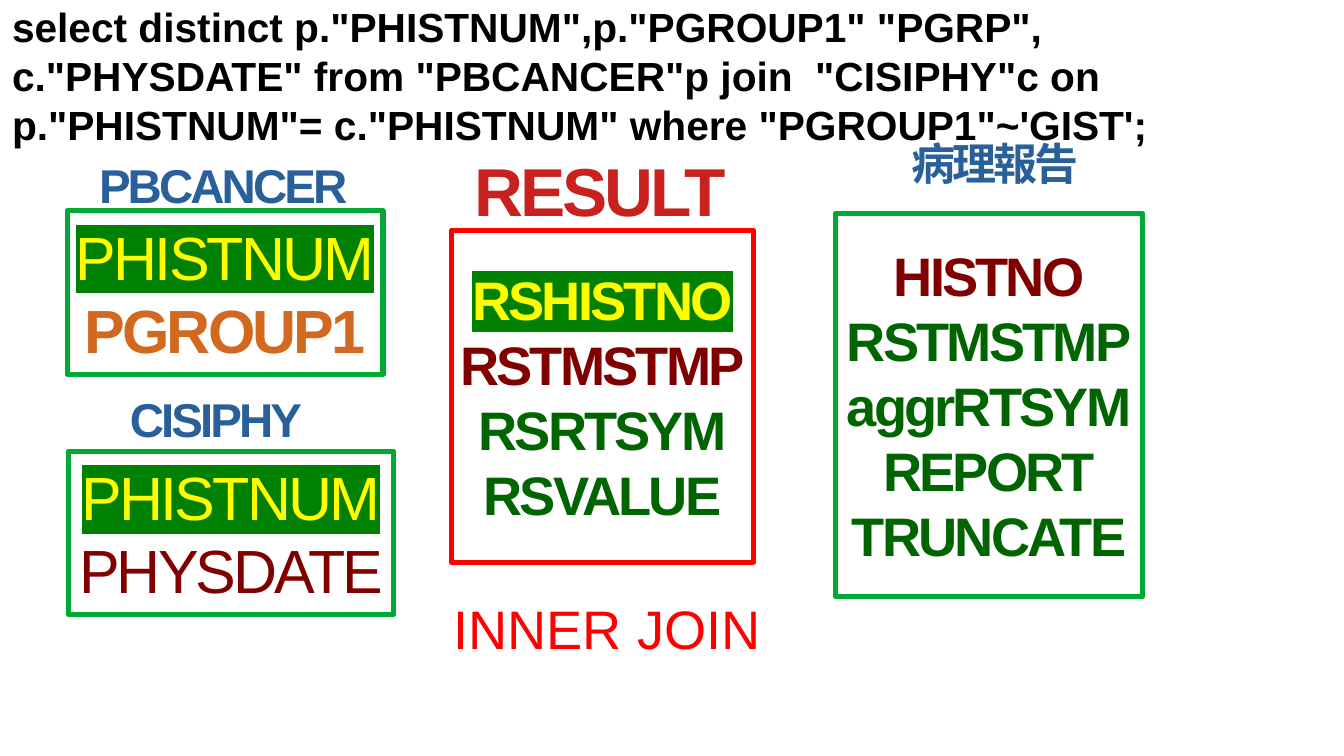
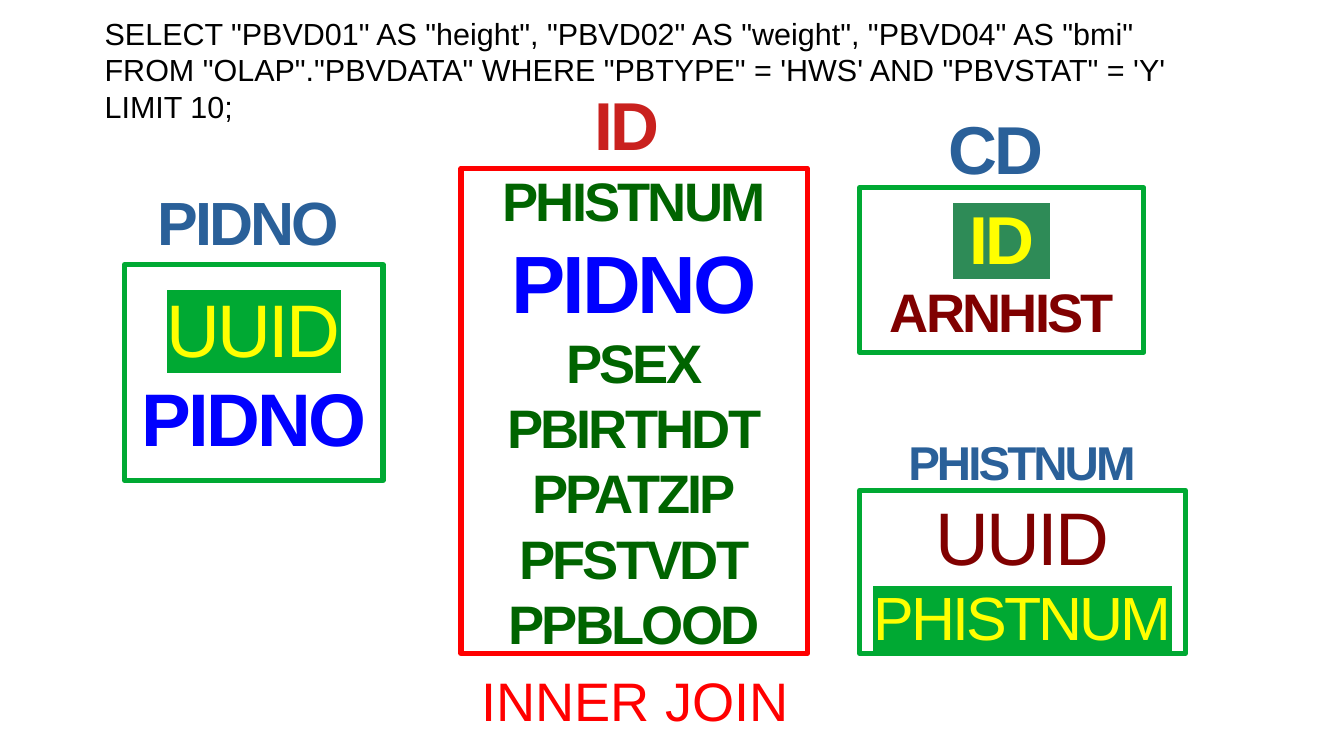
import dataclasses

import lxml.etree
import pptx
import pptx.dml.color
import pptx.enum.shapes
import pptx.enum.text
import pptx.oxml.ns
import pptx.util

RGB = pptx.dml.color.RGBColor
RED = RGB(0xFF, 0x00, 0x00)
CRIMSON = RGB(0xC9, 0x21, 0x1E)
GREEN = RGB(0x00, 0xA9, 0x33)
DARK_GREEN = RGB(0x00, 0x64, 0x00)
KEY_GREEN = RGB(0x00, 0x80, 0x00)
SEA_GREEN = RGB(0x2E, 0x8B, 0x57)
MAROON = RGB(0x80, 0x00, 0x00)
ORANGE = RGB(0xD2, 0x69, 0x1E)
YELLOW = RGB(0xFF, 0xFF, 0x00)
BLUE = RGB(0x00, 0x00, 0xFF)
STEEL = RGB(0x2A, 0x60, 0x99)
BLACK = RGB(0x00, 0x00, 0x00)

FONT = "Arial"
TIGHT = -170
WIDTH = pptx.util.Inches(11.02)
HEIGHT = pptx.util.Inches(6.2)
ALIGN = pptx.enum.text.PP_ALIGN
ANCHOR = pptx.enum.text.MSO_ANCHOR
FRAME_FORMAT = {
    "word_wrap": False,
    "vertical_anchor": ANCHOR.MIDDLE,
    "margin_left": pptx.util.Inches(0.12),
    "margin_right": pptx.util.Inches(0.12),
    "margin_top": pptx.util.Inches(0.07),
    "margin_bottom": pptx.util.Inches(0.07),
}
LABEL_FORMAT = {
    "word_wrap": True,
    "auto_size": pptx.enum.text.MSO_AUTO_SIZE.SHAPE_TO_FIT_TEXT,
    "vertical_anchor": ANCHOR.TOP,
}


@dataclasses.dataclass
class Box:
    """A region measured in hundredths of the slide's width and height."""

    left: float
    top: float
    width: float
    height: float

    def lengths(self):
        """Return left, top, width and height as slide lengths."""
        return (
            int(WIDTH * self.left / 100),
            int(HEIGHT * self.top / 100),
            int(WIDTH * self.width / 100),
            int(HEIGHT * self.height / 100),
        )


@dataclasses.dataclass
class Line:
    """One line of text with its look."""

    text: str
    size: int
    color: RGB
    bold: bool = True
    spacing: int = TIGHT
    highlight: RGB = None
    align: ALIGN = ALIGN.CENTER


@dataclasses.dataclass
class Entity:
    """A table card: its frame, title, title offset and column names."""

    frame: Box
    title: Line
    shift: float
    rise: float
    columns: list
    outline: RGB = GREEN


def apply(target, values):
    """Set every attribute named in a dict of format values."""
    for name, value in values.items():
        setattr(target, name, value)


def write_span(para, line):
    """Write one formatted line into a paragraph."""
    para.alignment = line.align
    span = para.add_run()
    span.text = line.text
    size = pptx.util.Pt(line.size)
    apply(span.font, {"name": FONT, "size": size, "bold": line.bold})
    span.font.color.rgb = line.color
    properties = span.font._element
    if line.spacing:
        properties.set("spc", str(line.spacing))
    if line.highlight is not None:
        mark = lxml.etree.Element(pptx.oxml.ns.qn("a:highlight"))
        color = lxml.etree.SubElement(mark, pptx.oxml.ns.qn("a:srgbClr"))
        color.set("val", str(line.highlight))
        properties.find(pptx.oxml.ns.qn("a:solidFill")).addnext(mark)


def write_lines(shape, lines, values):
    """Fill a shape with one paragraph for each line."""
    frame = shape.text_frame
    apply(frame, values)
    for index, line in enumerate(lines):
        para = frame.add_paragraph() if index else frame.paragraphs[0]
        write_span(para, line)


def add_label(page, box, line):
    """Place a plain text box in the given region."""
    label = page.shapes.add_textbox(*box.lengths())
    write_lines(label, [line], LABEL_FORMAT)


def add_entity(page, entity):
    """Place an outlined column list with its title above it."""
    box = entity.frame
    rectangle = pptx.enum.shapes.MSO_SHAPE.RECTANGLE
    card = page.shapes.add_shape(rectangle, *box.lengths())
    card.shadow.inherit = False
    card.fill.background()
    card.line.color.rgb = entity.outline
    card.line.width = pptx.util.Pt(3)
    write_lines(card, entity.columns, FRAME_FORMAT)
    title_box = Box(box.left + entity.shift, box.top - entity.rise, box.width, entity.rise)
    add_label(page, title_box, entity.title)


def add_join_caption(page, frame, shift, drop):
    """Name the join below the frame of the joined table."""
    bottom = frame.top + frame.height
    box = Box(frame.left + shift, bottom + drop, 24.68, 11.13)
    add_label(page, box, Line("INNER JOIN", 32, RED, False, 0, None, ALIGN.LEFT))


def fields(*names):
    """Return ordinary column names as dark green lines."""
    return [Line(name, 32, DARK_GREEN) for name in names]


def key(name, size, highlight, bold=False):
    """Return a highlighted key column."""
    return Line(name, size, YELLOW, bold, highlight=highlight)


def add_join_page(deck, query, query_box, entities, caption_offset):
    """Build a slide of a query and its tables, the joined table first."""
    page = deck.slides.add_slide(deck.slide_layouts[6])
    for entity in entities:
        add_entity(page, entity)
    add_join_caption(page, entities[0].frame, *caption_offset)
    add_label(page, query_box, query)


def add_cancer_page(deck):
    """Build the cancer and report query slide."""
    query = Line(
        'select distinct p."PHISTNUM",p."PGROUP1" "PGRP", c."PHYSDATE" '
        'from "PBCANCER"p join  "CISIPHY"c on p."PHISTNUM"= c."PHISTNUM" '
        "where \"PGROUP1\"~'GIST';",
        24, BLACK, True, 0, None, ALIGN.LEFT,
    )
    entities = [
        Entity(
            Box(33.58, 30.48, 22.5, 43.87), Line("RESULT", 40, CRIMSON), -0.18, 11.61,
            [key("RSHISTNO", 32, KEY_GREEN, True), Line("RSTMSTMP", 32, MAROON),
             *fields("RSRTSYM", "RSVALUE")],
            RED,
        ),
        Entity(
            Box(62.16, 28.23, 22.87, 50.65), Line("病理報告", 26, STEEL), 0.45, 10.97,
            [Line("HISTNO", 32, MAROON),
             *fields("RSTMSTMP", "aggrRTSYM", "REPORT", "TRUNCATE")],
        ),
        Entity(
            Box(5, 27.9, 23.5, 21.61), Line("PBCANCER", 28, STEEL), -0.14, 8.06,
            [key("PHISTNUM", 36, KEY_GREEN), Line("PGROUP1", 36, ORANGE)],
        ),
        Entity(
            Box(5.08, 59.68, 24.23, 21.61), Line("CISIPHY", 28, STEEL), -1.13, 8.87,
            [key("PHISTNUM", 36, KEY_GREEN), Line("PHYSDATE", 36, MAROON, False)],
        ),
    ]
    add_join_page(deck, query, Box(0, -0.48, 100, 19.52), entities, (-0.73, 3.55))


def add_identity_page(deck):
    """Build the patient identity query slide."""
    query = Line(
        'SELECT "PBVD01" AS "height", "PBVD02" AS "weight", "PBVD04" AS "bmi" '
        'FROM "OLAP"."PBVDATA" WHERE "PBTYPE" = \'HWS\' '
        "AND \"PBVSTAT\" = 'Y' LIMIT 10;",
        18, BLACK, False, 0, None, ALIGN.LEFT,
    )
    entities = [
        Entity(
            Box(34.3, 22.26, 25.77, 64.19), Line("ID", 40, CRIMSON), -0.54, 12.1,
            [*fields("PHISTNUM"), Line("PIDNO", 48, BLUE),
             *fields("PSEX", "PBIRTHDT", "PPATZIP", "PFSTVDT", "PPBLOOD")],
            RED,
        ),
        Entity(
            Box(63.97, 24.84, 21.14, 21.77), Line("CD", 40, STEEL), -0.45, 11.45,
            [key(" ID ", 40, SEA_GREEN, True), Line("ARNHIST", 32, MAROON)],
        ),
        Entity(
            Box(9.26, 35, 19.24, 28.55), Line("PIDNO", 36, STEEL), -0.41, 11.45,
            [key("UUID", 44, GREEN), Line("PIDNO", 44, BLUE)],
        ),
        Entity(
            Box(63.97, 64.84, 24.23, 21.61), Line("PHISTNUM", 28, STEEL), -0.05, 8.39,
            [Line("UUID", 44, MAROON, False), key("PHISTNUM", 36, GREEN)],
        ),
    ]
    add_join_page(deck, query, Box(6.9, 1.13, 85.57, 15.16), entities, (0.64, 0.97))


def main():
    """Build and save the deck."""
    deck = pptx.Presentation()
    apply(deck, {"slide_width": WIDTH, "slide_height": HEIGHT})
    add_cancer_page(deck)
    add_identity_page(deck)
    deck.save("out.pptx")


if __name__ == "__main__":
    main()
